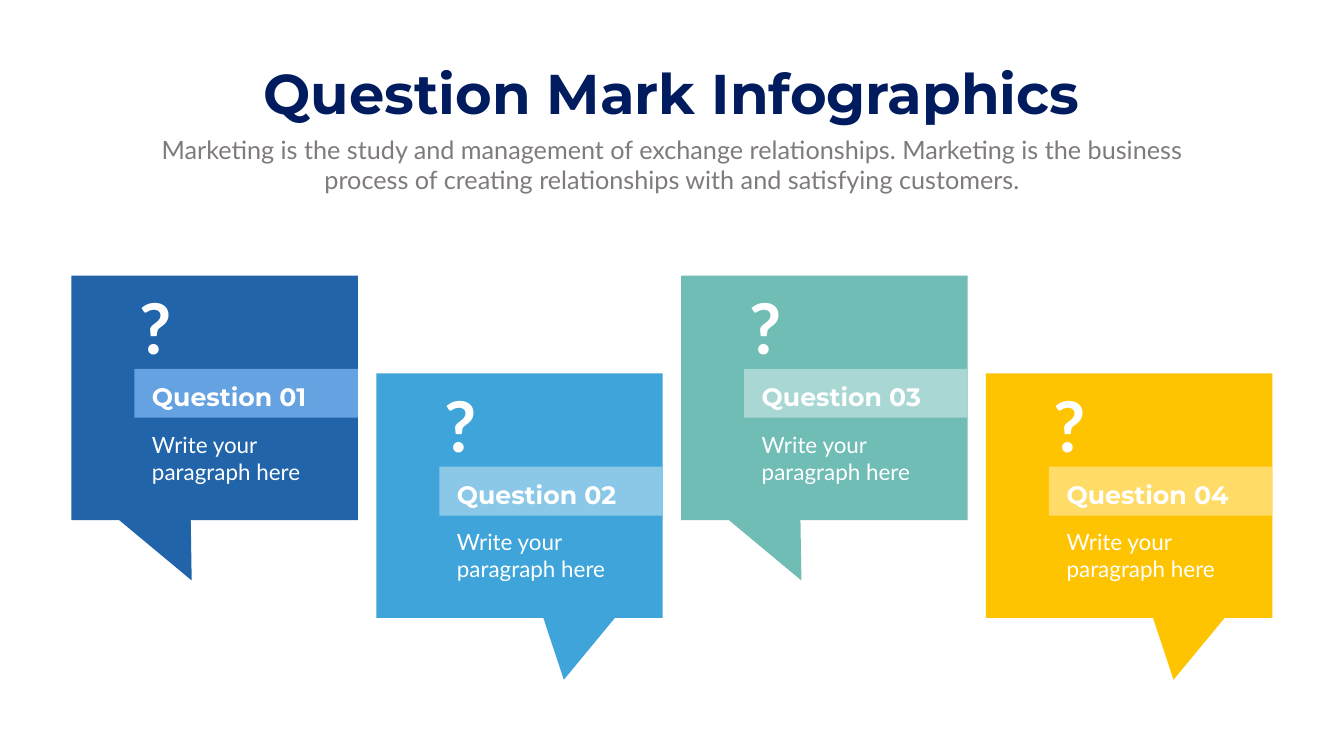
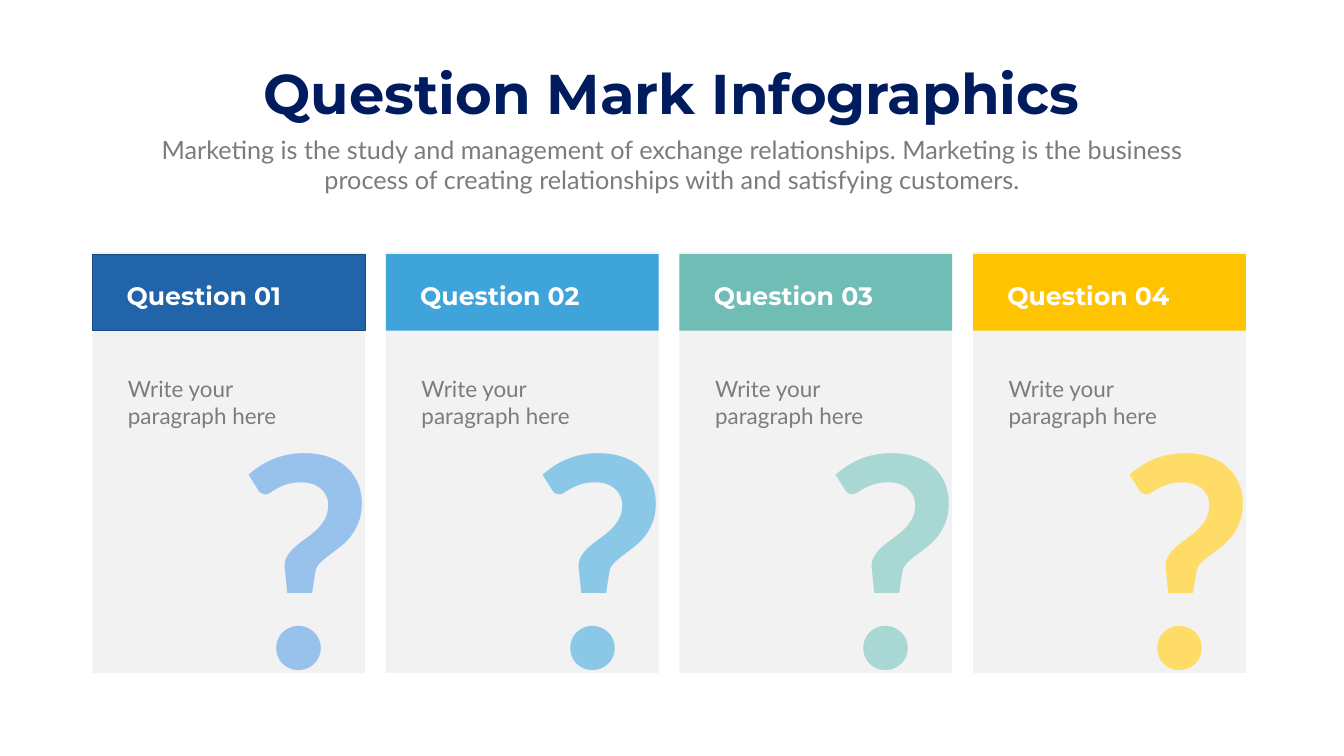
from collections import namedtuple

from pptx import Presentation
from pptx.dml.color import RGBColor
from pptx.enum.shapes import MSO_SHAPE
from pptx.enum.text import MSO_ANCHOR, MSO_AUTO_SIZE, PP_ALIGN
from pptx.util import Pt

NAVY = RGBColor(0x00, 0x1C, 0x5E)
GREY = RGBColor(0x7F, 0x7A, 0x7E)
PANEL = RGBColor(0xF2, 0xF2, 0xF2)
WHITE = RGBColor(0xFF, 0xFF, 0xFF)
BLUE = RGBColor(0x21, 0x64, 0xAA)
BLUE_LIGHT = RGBColor(0x65, 0xA2, 0xE1)
BLUE_PALE = RGBColor(0x98, 0xC1, 0xEB)
BLUE_EDGE = RGBColor(0x18, 0x4A, 0x7E)
SKY = RGBColor(0x3E, 0xA4, 0xD9)
SKY_LIGHT = RGBColor(0x8B, 0xC8, 0xE8)
TEAL = RGBColor(0x70, 0xBD, 0xB6)
TEAL_LIGHT = RGBColor(0xA9, 0xD7, 0xD3)
YELLOW = RGBColor(0xFE, 0xC4, 0x02)
YELLOW_LIGHT = RGBColor(0xFE, 0xDC, 0x67)

HEADING_FONT = "Montserrat"
BODY_FONT = "Lato"
TITLE = "Question Mark Infographics"
SUBTITLE = (
    "Marketing is the study and management of exchange relationships. "
    "Marketing is the business process of creating relationships with "
    "and satisfying customers."
)
BODY = "Write your paragraph here"

Question = namedtuple("Question", "label main band mark edge")
QUESTIONS = [
    Question("Question 01", BLUE, BLUE_LIGHT, BLUE_PALE, BLUE_EDGE),
    Question("Question 02", SKY, SKY_LIGHT, SKY_LIGHT, None),
    Question("Question 03", TEAL, TEAL_LIGHT, TEAL_LIGHT, None),
    Question("Question 04", YELLOW, YELLOW_LIGHT, YELLOW_LIGHT, None),
]


def write(box, text, font_name, size, color, bold=False, align=PP_ALIGN.LEFT, wrap=True):
    """Put one formatted paragraph into a box."""
    frame = box.text_frame
    frame.text = text
    frame.word_wrap = wrap
    frame.auto_size = MSO_AUTO_SIZE.SHAPE_TO_FIT_TEXT
    frame.vertical_anchor = MSO_ANCHOR.TOP
    paragraph = frame.paragraphs[0]
    paragraph.alignment = align
    font = paragraph.font
    font.name, font.size, font.bold = font_name, Pt(size), bold
    font.color.rgb = color


def add_text(page, left, top, width, height, text, *style, **options):
    """Add a text box with one paragraph."""
    box = page.shapes.add_textbox(Pt(left), Pt(top), Pt(width), Pt(height))
    write(box, text, *style, **options)


def add_block(page, left, top, width, height, fill, edge=None, preset=MSO_SHAPE.RECTANGLE):
    """Add a flat filled shape, outlined only when an edge colour is given."""
    block = page.shapes.add_shape(preset, Pt(left), Pt(top), Pt(width), Pt(height))
    block.shadow.inherit = False
    block.fill.solid()
    block.fill.fore_color.rgb = fill
    if edge is None:
        block.line.fill.background()
    else:
        block.line.color.rgb = edge
        block.line.width = Pt(1)
    return block


def add_heading(page, left, top, width, label):
    """Add a white question heading."""
    add_text(page, left, top, width, 51, label, HEADING_FONT, 36, WHITE, bold=True)


def add_page(deck):
    """Add a page with the shared title and subtitle."""
    page = deck.slides.add_slide(deck.slide_layouts[5])
    title = page.shapes.title
    title.left, title.top, title.width, title.height = Pt(353), Pt(80.6), Pt(1213), Pt(104.7)
    write(title, TITLE, HEADING_FONT, 80, NAVY, bold=True, align=PP_ALIGN.CENTER, wrap=False)
    add_text(page, 210.2, 188, 1499, 94, SUBTITLE, BODY_FONT, 36, GREY, align=PP_ALIGN.CENTER)
    return page


def add_callout(page, left, top, tail, question):
    """Add a speech callout with its mark, band, heading and text."""
    callout = add_block(page, left, top, 409, 349.2, question.main,
                        preset=MSO_SHAPE.RECTANGULAR_CALLOUT)
    callout.adjustments[0], callout.adjustments[1] = tail
    add_block(page, left + 90, top + 133.2, 319, 69.8, question.band)
    add_text(page, left + 108, top + 218, 252.7, 86, BODY, BODY_FONT, 32, WHITE)
    add_heading(page, left + 108, top + 147, 252.7, question.label)
    add_text(page, left + 90, top + 9.4, 54, 128, "?", BODY_FONT, 100, WHITE,
             bold=True, align=PP_ALIGN.CENTER, wrap=False)


def add_panel(page, left, question):
    """Add a tall panel with a coloured header and a large mark."""
    add_block(page, left, 360, 389.5, 601.2, PANEL)
    add_text(page, left + 201.8, 532, 193, 516, "?", BODY_FONT, 420, question.mark,
             bold=True, wrap=False)
    add_text(page, left + 43.8, 532, 307.4, 86, BODY, BODY_FONT, 32, GREY)
    add_block(page, left, 363, 389.5, 109.4, question.main, question.edge)
    add_heading(page, left + 42, 397.4, 267, question.label)


def main():
    """Build and save both pages."""
    deck = Presentation()
    deck.slide_width, deck.slide_height = Pt(1919.52), Pt(1080)

    callout_page = add_page(deck)
    rows = [(393.8, (-0.08, 0.747)), (533.5, (0.155, 0.753))]
    for index, question in enumerate(QUESTIONS):
        top, tail = rows[index % 2]
        add_callout(callout_page, 102 + index * 435.4, top, tail, question)

    panel_page = add_page(deck)
    for index, question in enumerate(QUESTIONS):
        add_panel(panel_page, 131.8 + index * 419.3, question)

    deck.save("out.pptx")


if __name__ == "__main__":
    main()
